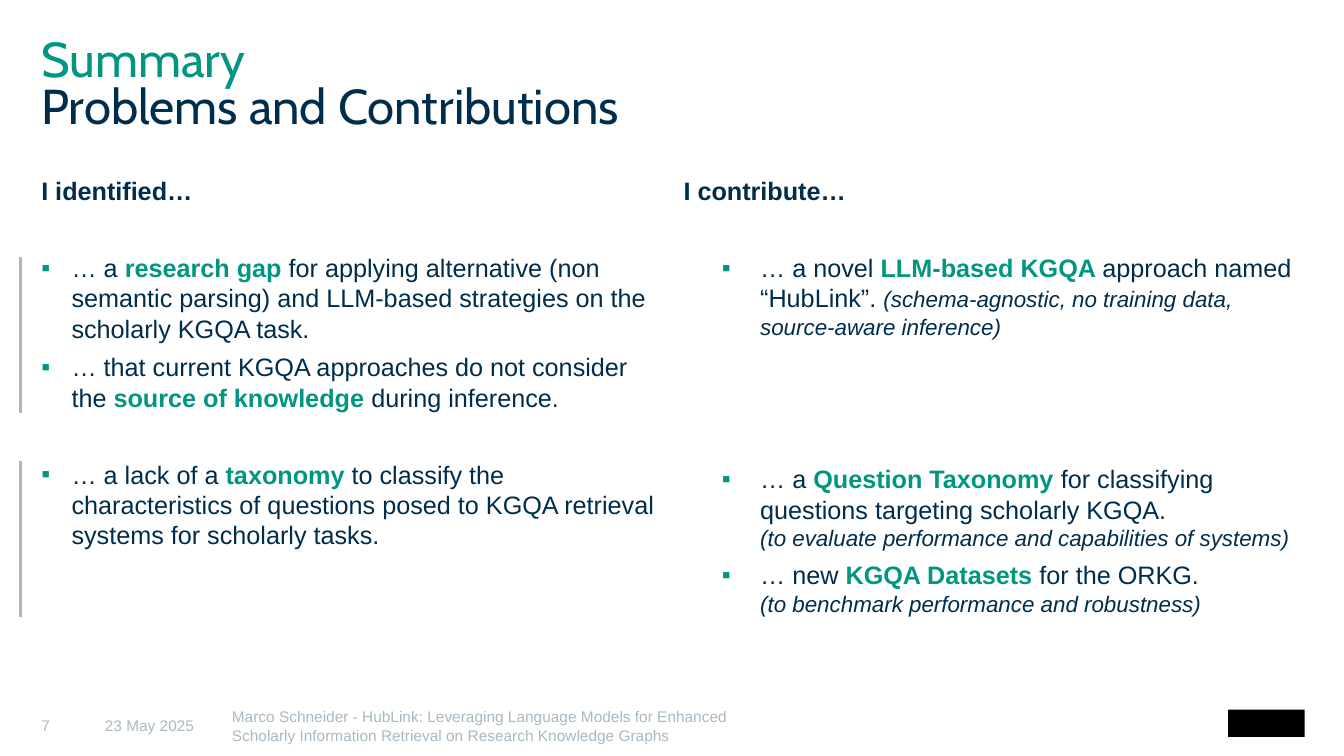
"""Build the summary slide on problems and contributions."""
import pptx
import pptx.dml.color
import pptx.enum.shapes
import pptx.enum.text
import pptx.oxml
import pptx.oxml.ns
import pptx.util
from pptx.util import Inches, Pt

COLORS = {"teal": "009682", "navy": "002D4C", "gray": "A8B9C4", "black": "000000"}
STYLES = {
    "title": {"name": "Cabin", "size": Pt(35), "color": "navy"},
    "subject": {"name": "Cabin", "size": Pt(35), "color": "teal"},
    "heading": {"name": "Arial", "size": Pt(18), "bold": True, "color": "navy"},
    "plain": {"name": "Arial", "size": Pt(18), "color": "navy"},
    "key": {"name": "Arial", "size": Pt(18), "bold": True, "color": "teal"},
    "aside": {"name": "Arial", "size": Pt(16), "italic": True, "color": "navy"},
    "footer": {"name": "Arial", "size": Pt(11), "color": "gray"},
}
BREAK = ("", None)
TITLE = [("Summary", "subject"), BREAK, ("Problems and Contributions", "title")]

COLUMNS = [
    {"left": 0.41, "margin": 0.3, "hanging": 0.3, "heading": "I identified…", "bullets": [
        (1, [("… a ", "plain"), ("research gap ", "key"),
             ("for applying alternative (non semantic parsing) and LLM-based "
              "strategies on the scholarly KGQA task.", "plain")]),
        (0, [("… that current KGQA approaches do not consider the ", "plain"),
             ("source of knowledge ", "key"), ("during inference.", "plain")]),
        (1, [("… a lack of a ", "plain"), ("taxonomy", "key"),
             (" to classify the characteristics of questions posed to KGQA "
              "retrieval systems for scholarly tasks.", "plain")]),
    ]},
    {"left": 6.78, "margin": 0.76, "hanging": 0.38, "heading": "I contribute…", "bullets": [
        (1, [("… a novel ", "plain"), ("LLM-based KGQA ", "key"),
             ("approach named “HubLink”. ", "plain"),
             ("(schema-agnostic, no training data, source-aware inference)", "aside")]),
        (3, [("… a ", "plain"), ("Question Taxonomy ", "key"),
             ("for classifying questions targeting scholarly KGQA. ", "plain"), BREAK,
             ("(to evaluate performance and capabilities of systems)", "aside")]),
        (0, [("… new ", "plain"), ("KGQA Datasets ", "key"),
             ("for the ORKG. ", "plain"), BREAK,
             ("(to benchmark performance and robustness)", "aside")]),
    ]},
]
FOOTERS = [
    (0.41, 0.63, "7"),
    (1.04, 1.26, "23 May 2025"),
    (2.3, 5, "Marco Schneider - HubLink: Leveraging Language Models for Enhanced "
             "Scholarly Information Retrieval on Research Knowledge Graphs"),
]
BAR_LEFT, BAR_HEIGHT, BAR_TOPS = 0.2, 1.55, (2.55, 4.57)
EMBLEM = (12.18, 7.04, 0.76, 0.27)
PARAGRAPH_GAP, SKIPPED_LINE = 3, 27.5


def rgb(name):
    return pptx.dml.color.RGBColor.from_string(COLORS[name])


def add_frame(slide, left, top, width, height, **extra):
    box = slide.shapes.add_textbox(*map(Inches, (left, top, width, height)))
    frame = box.text_frame
    settings = {"word_wrap": True, "margin_left": 0, "margin_right": 0,
                "margin_top": 0, "margin_bottom": 0, **extra}
    for name, value in settings.items():
        setattr(frame, name, value)
    return frame


def write(paragraph, pieces, **spacing):
    for name, value in spacing.items():
        setattr(paragraph, name, value)
    for text, style in pieces:
        if style is None:
            paragraph.add_line_break()
            continue
        run = paragraph.add_run()
        run.text = text
        for name, value in STYLES[style].items():
            if name == "color":
                run.font.color.rgb = rgb(value)
            else:
                setattr(run.font, name, value)


def add_bullet(paragraph, margin, hanging):
    properties = paragraph._p.get_or_add_pPr()
    properties.set("marL", str(Inches(margin)))
    properties.set("indent", str(-Inches(hanging)))
    namespace = pptx.oxml.ns.nsdecls("a")
    for markup in (
        f'<a:buClr {namespace}><a:srgbClr val="{COLORS["teal"]}"/></a:buClr>',
        f'<a:buFont {namespace} typeface="Arial"/>',
        f'<a:buChar {namespace} char="▪"/>',
    ):
        properties.append(pptx.oxml.parse_xml(markup))


def add_column(slide, column):
    frame = add_frame(slide, column["left"], 1.74, 6.14, 5.12)
    write(frame.paragraphs[0], [(column["heading"], "heading")],
          space_after=Pt(PARAGRAPH_GAP))
    for skipped, pieces in column["bullets"]:
        paragraph = frame.add_paragraph()
        add_bullet(paragraph, column["margin"], column["hanging"])
        write(paragraph, pieces, space_before=Pt(PARAGRAPH_GAP + skipped * SKIPPED_LINE),
              space_after=Pt(PARAGRAPH_GAP))


def add_bar(slide, top):
    bar = slide.shapes.add_connector(
        pptx.enum.shapes.MSO_CONNECTOR.STRAIGHT,
        *map(Inches, (BAR_LEFT, top + BAR_HEIGHT, BAR_LEFT, top)))
    bar.line.color.rgb = rgb("gray")
    bar.line.width = Pt(2.25)
    bar._element.spPr.append(
        pptx.oxml.parse_xml(f'<a:effectLst {pptx.oxml.ns.nsdecls("a")}/>'))


def add_emblem(slide):
    emblem = slide.shapes.add_shape(
        pptx.enum.shapes.MSO_SHAPE.RECTANGLE, *map(Inches, EMBLEM))
    emblem.shadow.inherit = False
    emblem.fill.solid()
    emblem.fill.fore_color.rgb = rgb("black")
    emblem.line.fill.background()


def main():
    presentation = pptx.Presentation()
    presentation.slide_width = Inches(13.33)
    presentation.slide_height = Inches(7.5)
    slide = presentation.slides.add_slide(presentation.slide_layouts[6])
    add_emblem(slide)
    title = add_frame(slide, 0.41, 0.4, 12.52, 1.1)
    write(title.paragraphs[0], TITLE, line_spacing=0.8)
    for column in COLUMNS:
        add_column(slide, column)
    for left, width, text in FOOTERS:
        frame = add_frame(slide, left, 6.86, width, 0.64, margin_top=Inches(0.04),
                          vertical_anchor=pptx.enum.text.MSO_ANCHOR.MIDDLE)
        write(frame.paragraphs[0], [(text, "footer")])
    for top in BAR_TOPS:
        add_bar(slide, top)
    presentation.save("out.pptx")


if __name__ == "__main__":
    main()
